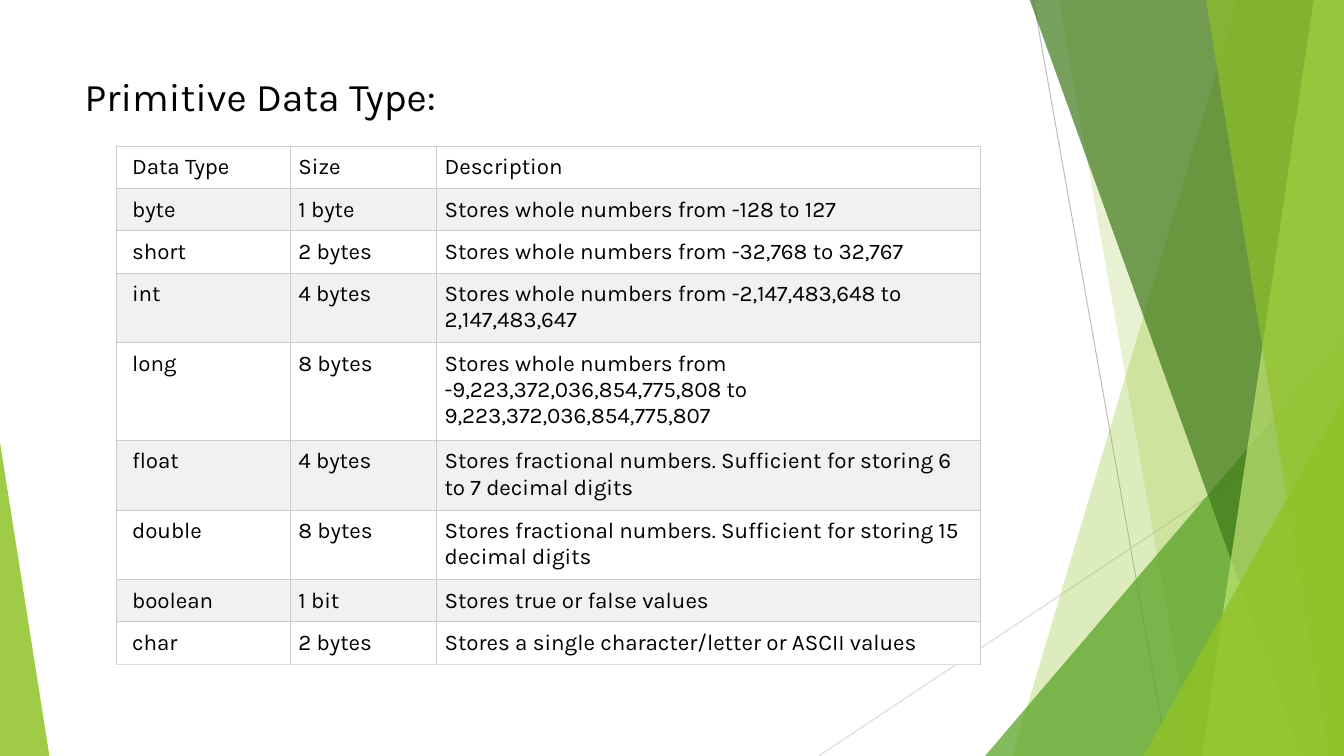
from lxml import etree
from pptx import Presentation
from pptx.dml.color import RGBColor
from pptx.enum.shapes import MSO_CONNECTOR, MSO_SHAPE
from pptx.enum.text import MSO_ANCHOR, PP_ALIGN
from pptx.oxml.ns import qn
from pptx.util import Inches, Pt

LINE = MSO_CONNECTOR.STRAIGHT
TRIANGLE = MSO_SHAPE.ISOSCELES_TRIANGLE
TOP = MSO_ANCHOR.TOP
LEFT = PP_ALIGN.LEFT
FONT = "Karla"
HUES = {
    "black": "000000", "white": "FFFFFF", "band": "F1F1F1",
    "rule": "CCCCCC", "foot": "DDDDDD", "gray": "BFBFBF", "pale": "D9D9D9",
    "lime": "90C226", "leaf": "54A021", "dark": "3F7819", "mint": "C0E474",
}


def color(name):
    return RGBColor.from_string(HUES[name])


def write(frame, text, size):
    para = frame.paragraphs[0]
    para.alignment = LEFT
    run = para.add_run()
    run.text = text
    run.font.name = FONT
    run.font.size = Pt(size)
    run.font.color.rgb = color("black")


deck = Presentation()
deck.slide_width = Inches(13.33)
deck.slide_height = Inches(7.5)
slide = deck.slides.add_slide(deck.slide_layouts[5])
shapes = slide.shapes

rays = [
    ("gray", 10.25, 0, 11.58, 7.5),
    ("pale", 13.33, 4.03, 8.12, 7.5),
]
for hue, *ends in rays:
    ray = shapes.add_connector(LINE, *[Inches(end) for end in ends])
    ray.line.color.rgb = color(hue)
    ray.line.width = Pt(0.75)
    etree.SubElement(ray._element.spPr, qn("a:effectLst"))

RIGHT, HEAD, BASE = 13.33, -0.01, 7.5
shards = [
    ("lime", 30, 12.28, 10.04),
    ("lime", 20, 10.5, 11.83),
    ("leaf", 72, (9.77, 3.33, 3.56, 4.17), 1),
    ("dark", 70, 10.21, 12.91),
    ("mint", 70, 13.03, 11.92),
    ("lime", 65, 11.96, 13.18),
    ("lime", 80, (11.34, 3.93, 1.99, 3.57), 1),
    ("lime", 85, (0, 4.39, 0.49, 3.11), 0),
]
for hue, alpha, start, end in shards:
    if isinstance(start, tuple):
        shard = shapes.add_shape(TRIANGLE, *[Inches(side) for side in start])
        shard.adjustments[0] = end
    else:
        pen = shapes.build_freeform(Inches(start), Inches(HEAD))
        points = [(RIGHT, HEAD), (RIGHT, BASE), (end, BASE)]
        pen.add_line_segments([(Inches(x), Inches(y)) for x, y in points])
        shard = pen.convert_to_shape()
    shard.shadow.inherit = False
    shard.line.fill.background()
    shard.fill.solid()
    shard.fill.fore_color.rgb = color(hue)
    tint = shard._element.spPr.find(qn("a:solidFill"))[0]
    etree.SubElement(tint, qn("a:alpha"), val=str(alpha * 1000))

title = shapes.title
title.left, title.top = Inches(0.74), Inches(0.67)
title.width, title.height = Inches(9.4), Inches(0.78)
title.text_frame.vertical_anchor = TOP
write(title.text_frame, "Primitive Data Type:", 28)

rows = [
    ("Data Type", "Size", "Description"),
    ("byte", "1 byte", "Stores whole numbers from -128 to 127"),
    ("short", "2 bytes", "Stores whole numbers from -32,768 to 32,767"),
    ("int", "4 bytes",
     "Stores whole numbers from -2,147,483,648 to 2,147,483,647"),
    ("long", "8 bytes", "Stores whole numbers from "
     "-9,223,372,036,854,775,808 to 9,223,372,036,854,775,807"),
    ("float", "4 bytes", "Stores fractional numbers. "
     "Sufficient for storing 6 to 7 decimal digits"),
    ("double", "8 bytes", "Stores fractional numbers. "
     "Sufficient for storing 15 decimal digits"),
    ("boolean", "1 bit", "Stores true or false values"),
    ("char", "2 bytes", "Stores a single character/letter or ASCII values"),
]
widths = [1.72, 1.45, 5.39]
heights = [0.42, 0.42, 0.42, 0.69, 0.97, 0.69, 0.69, 0.42, 0.42]
table = shapes.add_table(
    len(rows), len(widths), Inches(1.16), Inches(1.45),
    Inches(sum(widths)), Inches(sum(heights))).table
table.first_row = False
table.horz_banding = False
for col, width in zip(table.columns, widths):
    col.width = Inches(width)
for row, height in zip(table.rows, heights):
    row.height = Inches(height)

for r, texts in enumerate(rows):
    for c, text in enumerate(texts):
        cell = table.cell(r, c)
        cell.margin_left = Inches(0.08 if c else 0.15)
        cell.margin_right = Inches(0.08)
        cell.margin_top = cell.margin_bottom = Inches(0.08)
        cell.vertical_anchor = TOP
        write(cell.text_frame, text, 16)
        props = cell._tc.get_or_add_tcPr()
        for side in "LRTB":
            last = side == "B" and r == len(rows) - 1
            edge = etree.SubElement(props, qn("a:ln" + side), w=str(Pt(0.75)))
            fill = etree.SubElement(edge, qn("a:solidFill"))
            etree.SubElement(fill, qn("a:srgbClr"),
                             val=HUES["foot" if last else "rule"])
        cell.fill.solid()
        cell.fill.fore_color.rgb = color("band" if r % 2 else "white")

deck.save("out.pptx")
